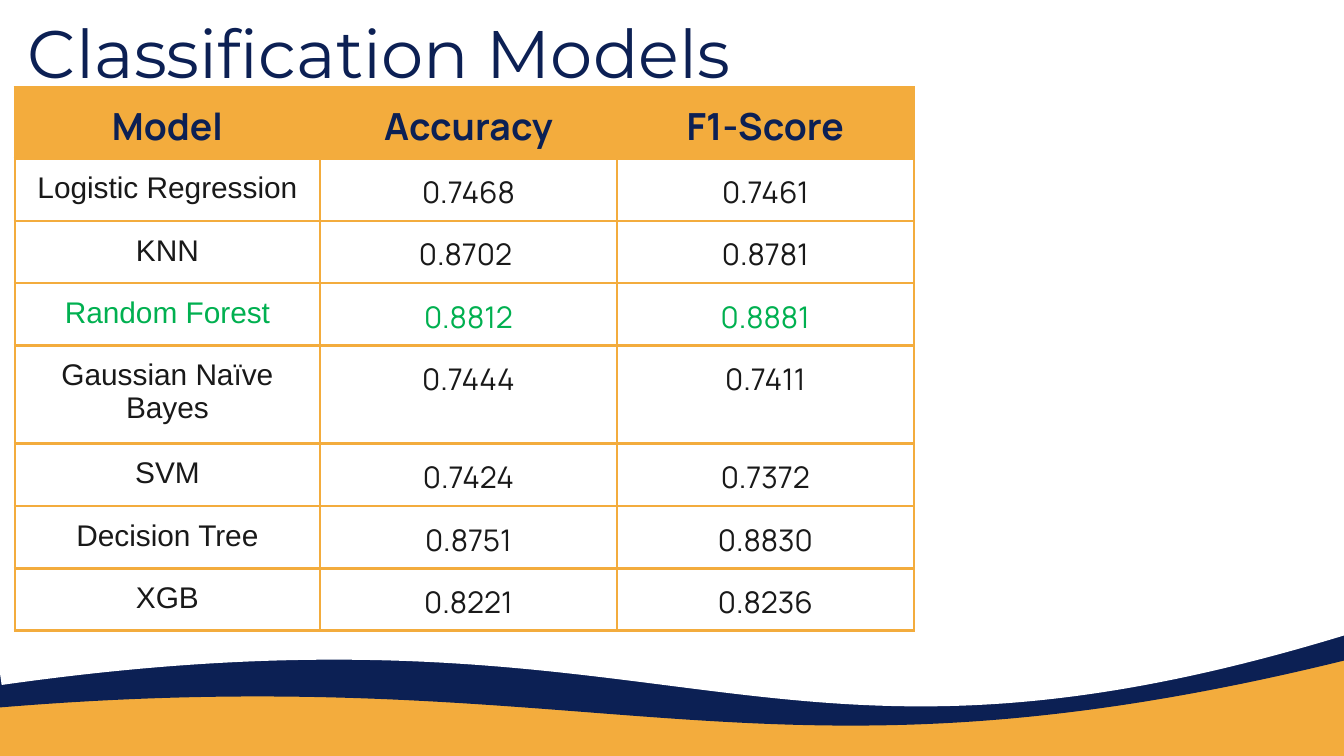
from lxml import etree
from pptx import Presentation
from pptx import util as u
from pptx.dml.color import RGBColor
from pptx.enum import shapes, text
from pptx.oxml import ns

COLORS = {
    "navy": "0C2054",
    "amber": "F3AC3D",
    "white": "FFFFFF",
    "ink": "191919",
    "green": "00B050",
}
INSET = u.Cm(0.25)


class SlideBuilder:
    """Holds the style and the current slide."""

    def __init__(self, slide, border="amber", border_pt=1.5):
        self.slide = slide
        self.border = border
        self.border_pt = border_pt

    def color(self, name):
        return RGBColor.from_string(COLORS[name])

    def background(self, color):
        fill = self.slide.background.fill
        fill.solid()
        fill.fore_color.rgb = self.color(color)

    def wave(self, left, top, width, height, color):
        wave = self.slide.shapes.add_shape(
            shapes.MSO_SHAPE.FLOWCHART_DOCUMENT,
            u.Cm(left), u.Cm(top), u.Cm(width), u.Cm(height))
        wave.rotation = 351.9
        wave.element.spPr.find(ns.qn("a:xfrm")).set("flipH", "1")
        wave.shadow.inherit = False
        wave.fill.solid()
        wave.fill.fore_color.rgb = self.color(color)
        wave.line.fill.background()

    def run(self, paragraph, words, font, size, color, bold=False):
        run = paragraph.add_run()
        run.text = words
        run.font.name = font
        run.font.size = u.Pt(size)
        run.font.bold = bold
        run.font.color.rgb = self.color(color)

    def insets(self, holder):
        holder.margin_left = holder.margin_right = INSET
        holder.margin_top = holder.margin_bottom = INSET

    def title(self, left, top, width, height, words):
        frame = self.slide.shapes.add_textbox(
            u.Cm(left), u.Cm(top), u.Cm(width), u.Cm(height)).text_frame
        frame.word_wrap = True
        frame.vertical_anchor = text.MSO_ANCHOR.MIDDLE
        self.insets(frame)
        self.run(frame.paragraphs[0], words, "Montserrat", 36, "navy")

    def borders(self, cell):
        properties = cell._tc.get_or_add_tcPr()
        for place, side in enumerate(("a:lnL", "a:lnR", "a:lnT", "a:lnB")):
            line = etree.Element(ns.qn(side), w=str(u.Pt(self.border_pt)))
            fill = etree.SubElement(line, ns.qn("a:solidFill"))
            etree.SubElement(fill, ns.qn("a:srgbClr"), val=COLORS[self.border])
            properties.insert(place, line)

    def cell(self, cell, words, fill=None, **style):
        self.insets(cell)
        if fill:
            cell.fill.solid()
            cell.fill.fore_color.rgb = self.color(fill)
        else:
            cell.fill.background()
        self.borders(cell)
        paragraph = cell.text_frame.paragraphs[0]
        paragraph.alignment = text.PP_ALIGN.CENTER
        self.run(paragraph, words, **style)

    def table(self, left, top, widths, heights, header, scores, best):
        table = self.slide.shapes.add_table(
            len(heights), len(widths), u.Cm(left), u.Cm(top),
            u.Cm(sum(widths)), u.Cm(sum(heights))).table
        for column, width in zip(table.columns, widths):
            column.width = u.Cm(width)
        for row, height in zip(table.rows, heights):
            row.height = u.Cm(height)

        for col, words in enumerate(header):
            self.cell(table.cell(0, col), words, fill="amber",
                      font="Manrope", size=20, color="navy", bold=True)
        for row, score in enumerate(scores, start=1):
            color = "green" if score[0] == best else "ink"
            for col, words in enumerate(score):
                self.cell(table.cell(row, col), words, size=16, color=color,
                          font="Manrope" if col else "Arial")


def main():
    deck = Presentation()
    deck.slide_width, deck.slide_height = u.Cm(25.4), u.Cm(14.29)
    builder = SlideBuilder(deck.slides.add_slide(deck.slide_layouts[6]))

    # Backdrop: navy wave under a white one, on amber
    builder.background("amber")
    builder.wave(-5.28, -1.78, 34.42, 16.56, "navy")
    builder.wave(-0.81, -2.24, 27.79, 16.56, "white")

    # Heading
    builder.title(0.28, 0.3, 21.41, 1.35, "Classification Models")

    # Model scores
    header = ("Model", "Accuracy", "F1-Score")
    scores = [
        ("Logistic Regression", "0.7468", "0.7461"),
        ("KNN", "0.8702 ", "0.8781"),
        ("Random Forest", "0.8812", "0.8881"),
        ("Gaussian Naïve Bayes", "0.7444", "0.7411"),
        ("SVM", "0.7424", "0.7372"),
        ("Decision Tree", "0.8751", "0.8830"),
        ("XGB", "0.8221", "0.8236"),
    ]
    heights = [1.14] + [1.57 if len(model) > 19 else 1.02
                        for model, *_ in scores]
    builder.table(0.28, 1.65, [5.77, 5.61, 5.61], heights,
                  header, scores, best="Random Forest")

    deck.save("out.pptx")


if __name__ == "__main__":
    main()
